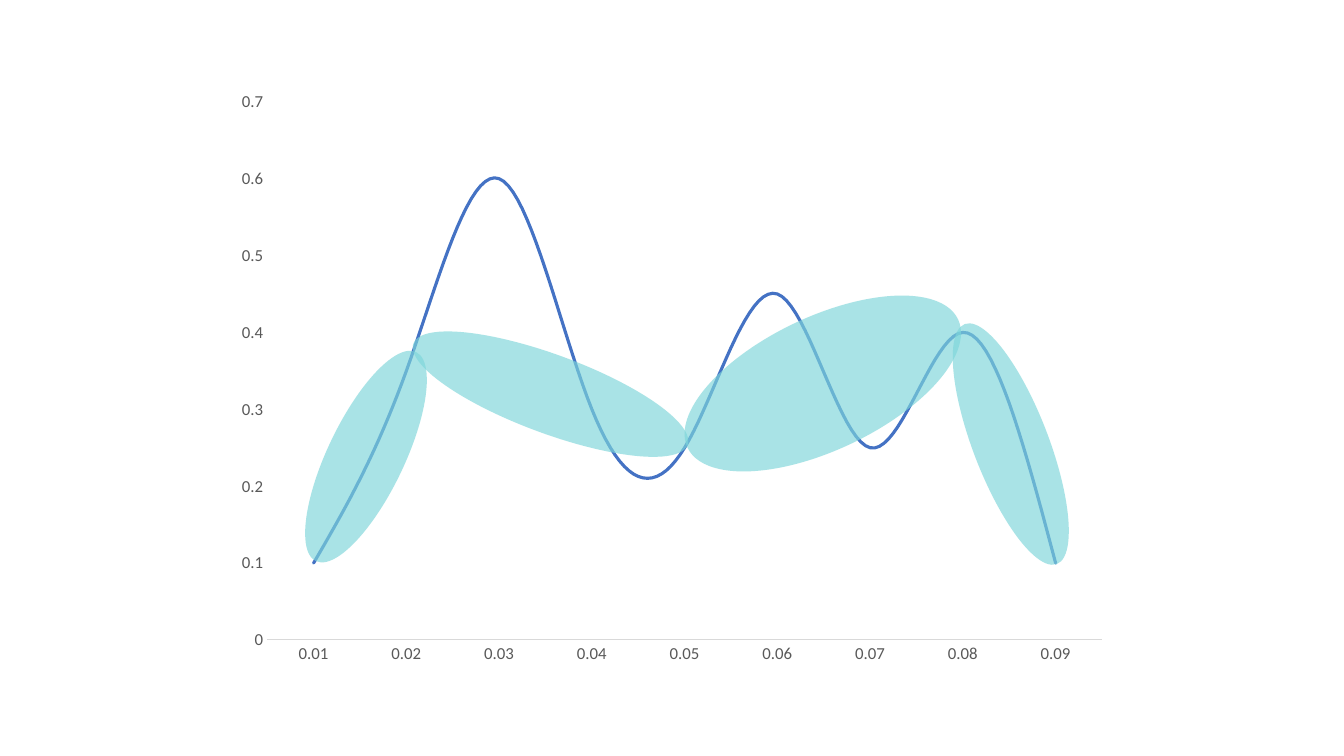
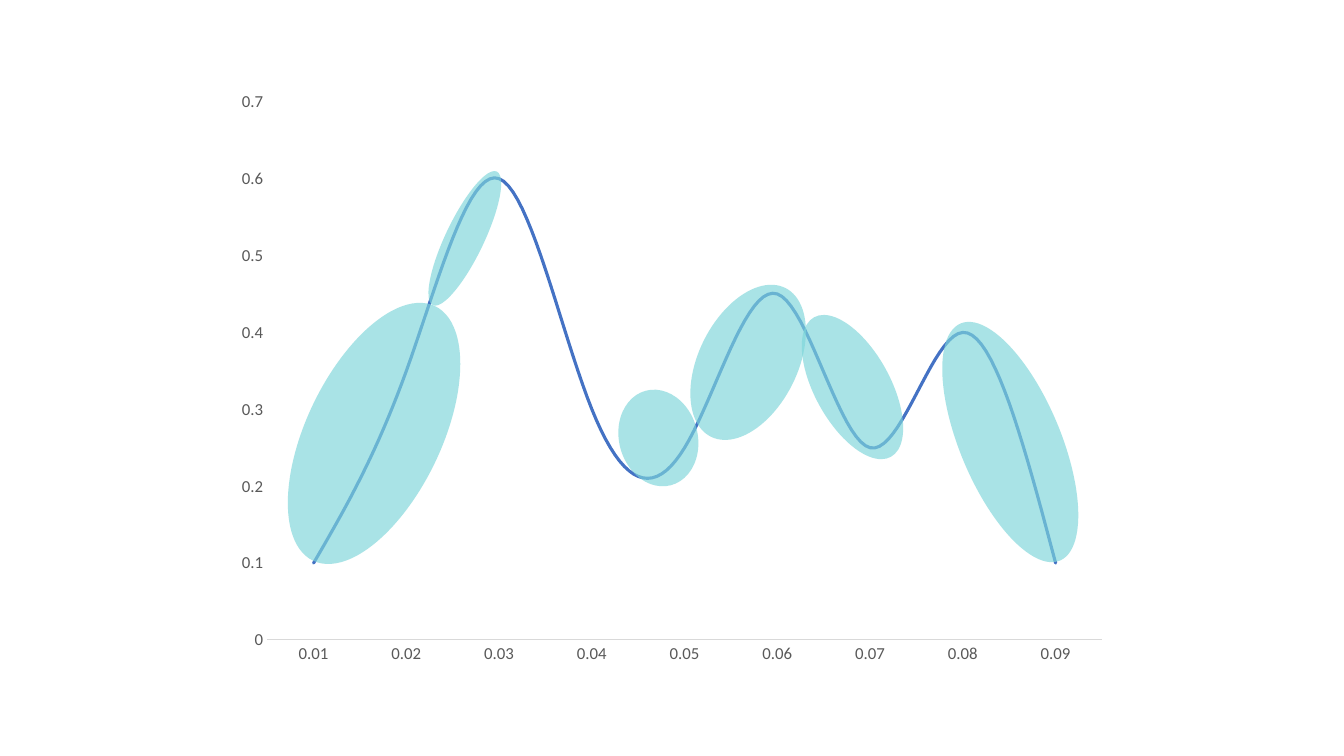
"""Two line charts of one curve, each overlaid with translucent ellipses."""
from pptx import Presentation
from pptx.chart.data import CategoryChartData
from pptx.dml.color import RGBColor
from pptx.enum.chart import XL_CHART_TYPE, XL_TICK_MARK
from pptx.enum.shapes import MSO_SHAPE
from pptx.oxml import parse_xml
from pptx.oxml.ns import nsdecls, qn
from pptx.util import Inches, Pt

LINE_STACKED = XL_CHART_TYPE.LINE_STACKED
NO_TICK = XL_TICK_MARK.NONE
OVAL = MSO_SHAPE.OVAL

FONT = "Calibri"
CURVE_COLOR = "4472C4"
REGION_COLOR = "7DD6DA"
LABEL_COLOR = "595959"
AXIS_COLOR = "D9D9D9"
REGION_OPACITY = 66

CATEGORIES = [f"0.0{step}" for step in range(1, 10)]
VALUES = [0.1, 0.35, 0.6, 0.3, 0.25, 0.45, 0.25, 0.4, 0.1]
CHART_AREA = (2.22, 0.79, 8.89, 5.93)
PLOT_AREA = (2.65, 1.01, 8.28, 5.34)

COARSE_REGIONS = [
    (3.25, 3.38, 0.76, 2.3, 25.6),
    (5.07, 2.46, 0.78, 2.9, 110.3),
    (7.5, 2.32, 1.32, 2.97, 64.6),
    (9.65, 3.13, 0.75, 2.55, 159),
]
FINE_REGIONS = [
    (3.04, 2.9, 1.34, 2.8, 25.6),
    (6.14, 3.86, 0.78, 0.97, 165.1),
    (6.93, 2.77, 0.98, 1.65, 26.6),
    (9.52, 3.11, 1, 2.55, 157.3),
    (4.42, 1.63, 0.38, 1.47, 25.6),
    (8.08, 3.05, 0.75, 1.58, 151.2),
]


def color(code):
    """Turn a hex string into a colour."""
    return RGBColor.from_string(code)


def style_axis(axis):
    """Set what both axes share: labels, no ticks, no gridlines."""
    axis.has_major_gridlines = False
    axis.major_tick_mark = axis.minor_tick_mark = NO_TICK
    font = axis.tick_labels.font
    font.name, font.size = FONT, Pt(12)
    font.color.rgb = color(LABEL_COLOR)


def place_plot(chart):
    """Fix the inner plot area inside the chart frame."""
    left, top, width, height = CHART_AREA
    plot_left, plot_top, plot_width, plot_height = PLOT_AREA
    fractions = {
        "x": (plot_left - left) / width,
        "y": (plot_top - top) / height,
        "w": plot_width / width,
        "h": plot_height / height,
    }
    sizes = "".join(f'<c:{key} val="{value:.4f}"/>' for key, value in fractions.items())
    layout = parse_xml(
        f'<c:layout {nsdecls("c")}><c:manualLayout><c:layoutTarget val="inner"/>'
        f'<c:xMode val="edge"/><c:yMode val="edge"/>{sizes}</c:manualLayout></c:layout>'
    )
    plot_area = chart.plots[0]._element.getparent()
    for old_layout in plot_area.findall(qn("c:layout")):
        plot_area.remove(old_layout)
    plot_area.insert(0, layout)


def add_curve(page):
    """Add the smoothed line chart."""
    data = CategoryChartData()
    data.categories = CATEGORIES
    data.add_series("Series 1", VALUES)
    chart = page.shapes.add_chart(LINE_STACKED, *map(Inches, CHART_AREA), data).chart
    chart.has_legend = chart.has_title = False
    chart.font.name, chart.font.size = FONT, Pt(10)
    chart.plots[0].vary_by_categories = False

    curve = chart.plots[0].series[0]
    curve.smooth = True
    curve.format.line.color.rgb = color(CURVE_COLOR)
    curve.format.line.width = Pt(2.25)
    curve.format.line._get_or_add_ln().set("cap", "rnd")

    style_axis(chart.category_axis)
    chart.category_axis.format.line.color.rgb = color(AXIS_COLOR)
    chart.category_axis.format.line.width = Pt(0.75)
    value_axis = chart.value_axis
    style_axis(value_axis)
    value_axis.format.line.fill.background()
    value_axis.minimum_scale, value_axis.maximum_scale = 0, 0.7
    value_axis.major_unit = 0.1
    place_plot(chart)


def add_region(page, left, top, width, height, angle):
    """Add one rotated translucent ellipse."""
    region = page.shapes.add_shape(OVAL, *map(Inches, (left, top, width, height)))
    region.rotation = angle
    region.shadow.inherit = False
    region.line.fill.background()
    region.fill.solid()
    region.fill.fore_color.rgb = color(REGION_COLOR)
    tint = region._element.spPr.find(f'{qn("a:solidFill")}/{qn("a:srgbClr")}')
    tint.append(parse_xml(f'<a:alpha {nsdecls("a")} val="{REGION_OPACITY * 1000}"/>'))


def main():
    """Build and save the deck."""
    deck = Presentation()
    deck.slide_width, deck.slide_height = Inches(13.33), Inches(7.5)
    for regions in (COARSE_REGIONS, FINE_REGIONS):
        page = deck.slides.add_slide(deck.slide_layouts[6])
        add_curve(page)
        for region in regions:
            add_region(page, *region)
    deck.save("out.pptx")


if __name__ == "__main__":
    main()
